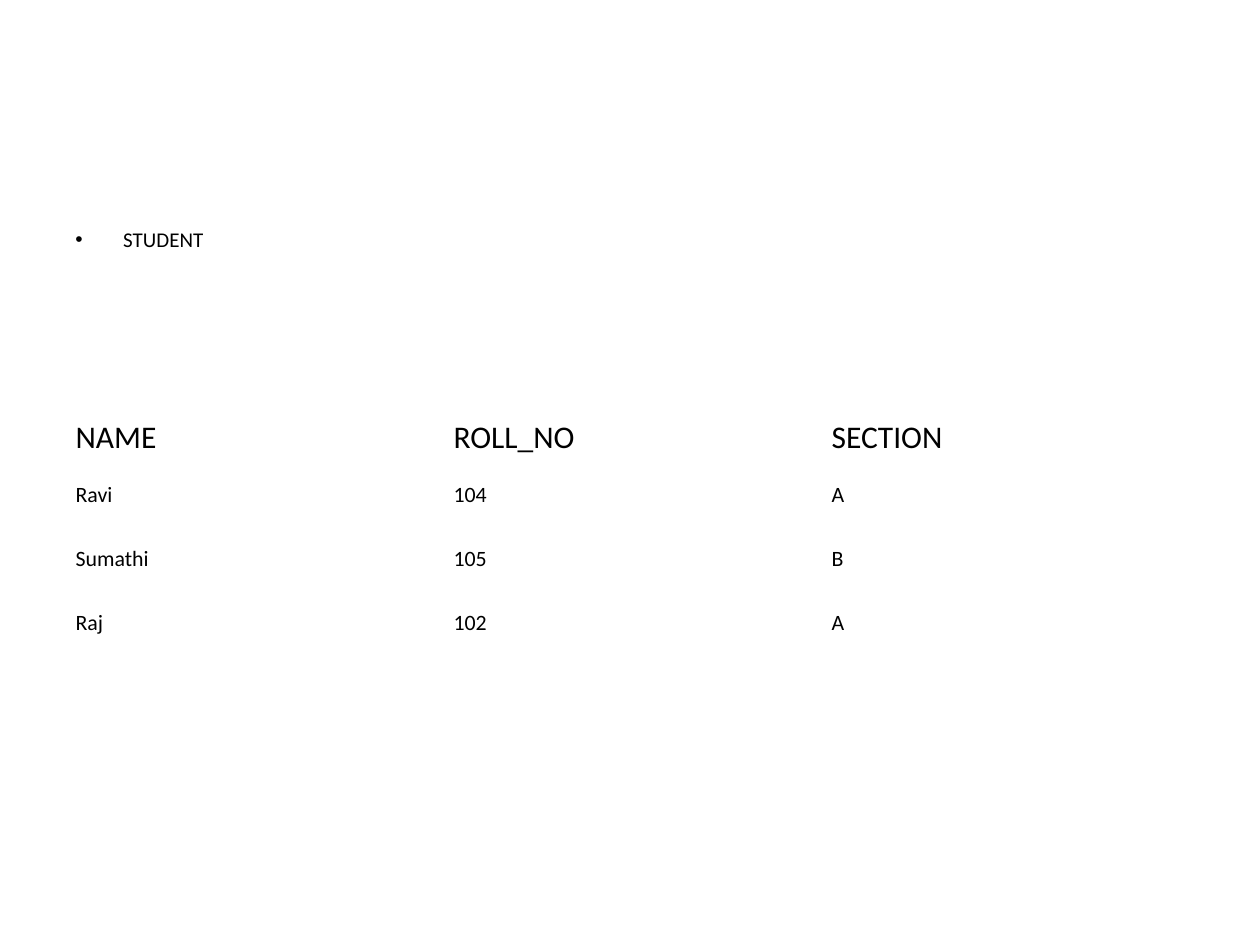
"""Build a slide with a STUDENT bullet above a table of student records."""
import pptx
import pptx.dml.color
import pptx.enum.text
import pptx.util
import lxml.etree

Inches = pptx.util.Inches
MARGIN = 0.5
WIDTH = 9
HEADER_HEIGHT = 0.4
ROW_HEIGHT = 0.5
RECORDS = [
    ["NAME", "ROLL_NO", "SECTION"],
    ["Ravi", "104", "A"],
    ["Sumathi", "105", "B"],
    ["Raj", "102", "A"],
]


def color(value):
    return pptx.dml.color.RGBColor.from_string(value)


def write(para, text, size):
    span = para.add_run()
    span.text = text
    for name, value in {"name": "Calibri", "size": pptx.util.Pt(size)}.items():
        setattr(span.font, name, value)
    span.font.color.rgb = color("000000")


deck = pptx.Presentation()
deck.slide_width, deck.slide_height = Inches(10), Inches(7.5)
page = deck.slides.add_slide(deck.slide_layouts[6])
page.background.fill.solid()
page.background.fill.fore_color.rgb = color("FFFFFF")

box = page.shapes.add_textbox(Inches(MARGIN), Inches(1.75), Inches(WIDTH), Inches(4.95))
box.text_frame.word_wrap = True
para = box.text_frame.paragraphs[0]
write(para, "STUDENT", 12)
layout = para._p.get_or_add_pPr()
layout.set("marL", str(Inches(0.38)))
layout.set("indent", str(Inches(-0.38)))
namespace = pptx.oxml.ns.qn
lxml.etree.SubElement(layout, namespace("a:buFont"), typeface="Arial")
lxml.etree.SubElement(layout, namespace("a:buChar"), char="•")

height = HEADER_HEIGHT + ROW_HEIGHT * (len(RECORDS) - 1)
table = page.shapes.add_table(
    len(RECORDS), len(RECORDS[0]),
    Inches(MARGIN), Inches(3.27), Inches(WIDTH), Inches(height),
).table
for name in ("first_row", "horz_banding"):
    setattr(table, name, False)

for row, record in enumerate(RECORDS):
    header = row == 0
    inset = Inches(0.05 if header else 0.15)
    table.rows[row].height = Inches(HEADER_HEIGHT if header else ROW_HEIGHT)
    cell_format = {
        "vertical_anchor": pptx.enum.text.MSO_ANCHOR.MIDDLE,
        "margin_left": Inches(0.1),
        "margin_right": Inches(0.1),
        "margin_top": inset,
        "margin_bottom": inset,
    }
    for column, text in enumerate(record):
        cell = table.cell(row, column)
        for name, value in cell_format.items():
            setattr(cell, name, value)
        cell.fill.solid()
        cell.fill.fore_color.rgb = color("FFFFFF")
        write(cell.text_frame.paragraphs[0], text, 18 if header else 12.5)

deck.save("out.pptx")
